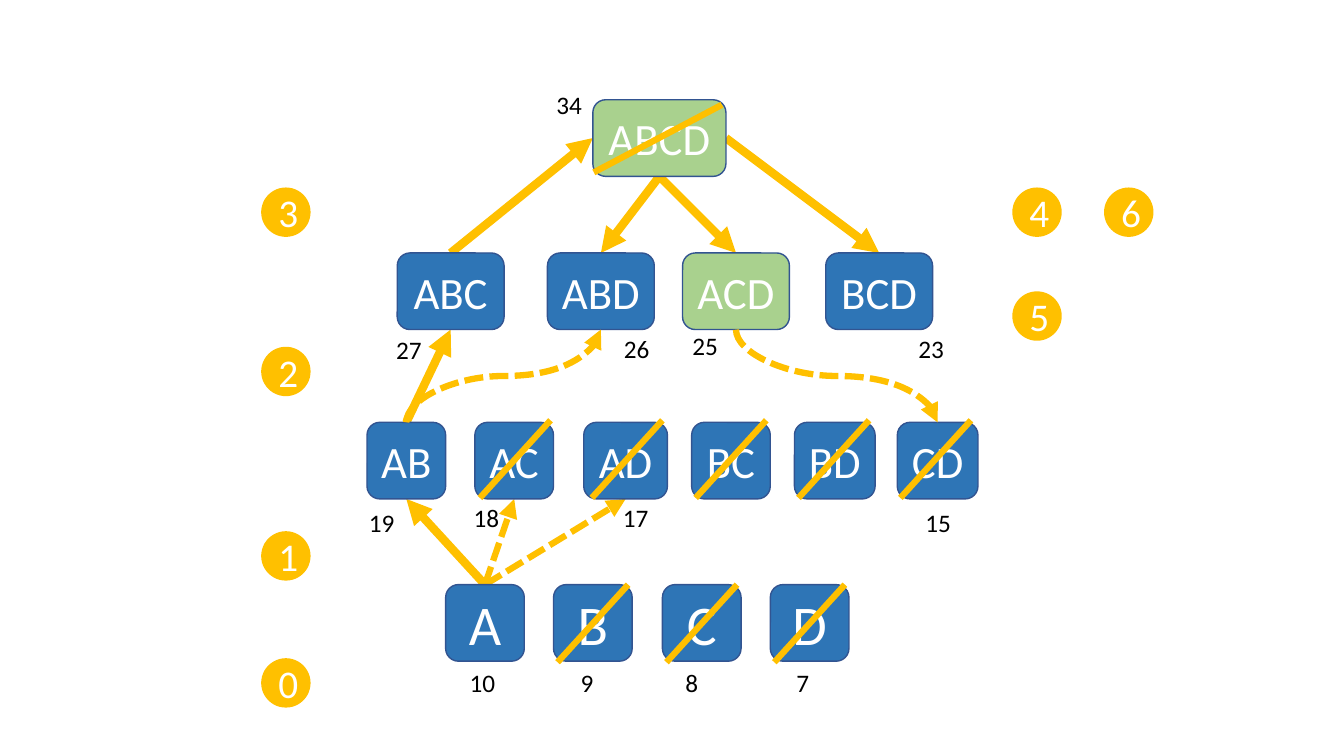
from dataclasses import dataclass

from lxml.etree import SubElement
from pptx import Presentation
from pptx.dml.color import RGBColor
from pptx.enum.dml import MSO_LINE
from pptx.enum.shapes import MSO_CONNECTOR, MSO_SHAPE
from pptx.enum.text import MSO_ANCHOR, PP_ALIGN
from pptx.oxml.ns import qn
from pptx.shapes.autoshape import Shape
from pptx.shapes.connector import Connector
from pptx.util import Inches, Pt

COLORS = {"blue": "2E75B6", "green": "A9D18E", "border": "325491",
          "amber": "FFC000", "white": "FFFFFF", "black": "000000"}
FONT = "Calibri"
TOP, LEFT, BOTTOM, RIGHT = range(4)  # connection sites of a box
BOX_HEIGHT = 0.76
BADGE_SIZE = 0.49
THIN, THICK = 4.5, 6
SLASH_WIDTH, SLASH_HEIGHT = 0.7, 0.77


@dataclass
class Node:
    """A feature subset in the lattice."""
    name: str
    left: float
    top: float
    width: float
    fill: str = "blue"
    size: int = 32


@dataclass
class Mark:
    """A score label or a step badge."""
    text: str
    left: float
    top: float


@dataclass
class Arrow:
    """A search move from one node to another."""
    source: str
    source_site: int
    target: str
    target_site: int
    dashed: bool = False
    curved: bool = False


NODES = [
    Node("ABCD", 5.88, 0.99, 1.32, "green"),
    Node("ABC", 3.94, 2.51, 1.06), Node("ABD", 5.43, 2.51, 1.06),
    Node("ACD", 6.77, 2.51, 1.06, "green"), Node("BCD", 8.19, 2.51, 1.06),
    Node("AB", 3.64, 4.19, 0.78), Node("AC", 4.71, 4.19, 0.78),
    Node("AD", 5.79, 4.19, 0.83), Node("BC", 6.86, 4.19, 0.78),
    Node("BD", 7.88, 4.19, 0.8), Node("CD", 8.9, 4.19, 0.8),
    *(Node(name, left, 5.8, 0.78, size=40)
      for name, left in zip("ABCD", (4.42, 5.49, 6.57, 7.64))),
]
SCORES = [
    Mark("34", 5.42, 0.84),
    Mark("27", 3.83, 3.27), Mark("26", 6.09, 3.26),
    Mark("25", 6.77, 3.23), Mark("23", 9.01, 3.26),
    Mark("19", 3.56, 4.98), Mark("18", 4.6, 4.93),
    Mark("17", 6.08, 4.93), Mark("15", 9.08, 4.98),
    Mark("10", 4.56, 6.57), Mark("9", 5.66, 6.57),
    Mark("8", 6.7, 6.57), Mark("7", 7.8, 6.57),
]
STEPS = [
    Mark("0", 2.59, 6.53), Mark("1", 2.59, 5.27), Mark("2", 2.59, 3.44),
    Mark("3", 2.59, 1.86), Mark("4", 10.04, 1.86), Mark("5", 10.04, 2.89),
    Mark("6", 10.95, 1.86),
]
ARROWS = [
    Arrow("A", TOP, "AB", BOTTOM),
    Arrow("A", TOP, "AC", BOTTOM, dashed=True),
    Arrow("A", TOP, "AD", BOTTOM, dashed=True),
    Arrow("AB", TOP, "ABC", BOTTOM),
    Arrow("ABC", TOP, "ABCD", LEFT),
    Arrow("ABCD", BOTTOM, "ABD", TOP),
    Arrow("ABCD", BOTTOM, "ACD", TOP),
    Arrow("ABCD", RIGHT, "BCD", TOP),
    Arrow("AB", TOP, "ABD", BOTTOM, dashed=True, curved=True),
    Arrow("ACD", BOTTOM, "CD", TOP, dashed=True, curved=True),
]
SLASH_ROWS = {4.17: [5.46, 6.57, 7.6, 8.62, 9.63], 5.8: [6.23, 7.31, 8.38]}


def rgb(name: str) -> RGBColor:
    """Look up a colour by name."""
    return RGBColor.from_string(COLORS[name])


def write(shape: Shape, text: str, size: int, color: str, align: PP_ALIGN) -> None:
    """Write one run of text into a shape."""
    paragraph = shape.text_frame.paragraphs[0]
    paragraph.alignment = align
    run = paragraph.add_run()
    run.text = text
    run.font.name, run.font.size = FONT, Pt(size)
    run.font.color.rgb = rgb(color)


def add_filled(preset: MSO_SHAPE, left: float, top: float, width: float,
               height: float, fill: str) -> Shape:
    """Add a flat filled shape with vertically centred text."""
    shape = slide.shapes.add_shape(
        preset, Inches(left), Inches(top), Inches(width), Inches(height))
    shape.shadow.inherit = False
    shape.fill.solid()
    shape.fill.fore_color.rgb = rgb(fill)
    shape.text_frame.vertical_anchor = MSO_ANCHOR.MIDDLE
    return shape


def add_node(node: Node) -> Shape:
    """Add the box of a feature subset."""
    box = add_filled(MSO_SHAPE.ROUNDED_RECTANGLE, node.left, node.top,
                     node.width, BOX_HEIGHT, node.fill)
    box.line.color.rgb, box.line.width = rgb("border"), Pt(1)
    box.text_frame.word_wrap = False
    write(box, node.name, node.size, "white", PP_ALIGN.CENTER)
    return box


def add_step(step: Mark) -> None:
    """Add a round step badge."""
    badge = add_filled(MSO_SHAPE.OVAL, step.left, step.top,
                       BADGE_SIZE, BADGE_SIZE, "amber")
    badge.line.fill.background()
    write(badge, step.text, 28, "white", PP_ALIGN.CENTER)


def add_score(score: Mark) -> None:
    """Add the score beside a node."""
    label = slide.shapes.add_textbox(
        Inches(score.left), Inches(score.top), Inches(0.46), Inches(0.4))
    label.text_frame.word_wrap = True
    write(label, score.text, 18, "black", PP_ALIGN.LEFT)


def add_line(x1: float, y1: float, x2: float, y2: float, width: float = THIN,
             kind: MSO_CONNECTOR = MSO_CONNECTOR.STRAIGHT) -> Connector:
    """Add an amber line without a shadow."""
    line = slide.shapes.add_connector(
        kind, Inches(x1), Inches(y1), Inches(x2), Inches(y2))
    line.line.color.rgb, line.line.width = rgb("amber"), Pt(width)
    SubElement(line._element.spPr, qn("a:effectLst"))
    return line


def turn_upright(curve: Connector) -> None:
    """Rotate a curve so that it leaves and arrives vertically."""
    x1, y1, x2, y2 = curve.begin_x, curve.begin_y, curve.end_x, curve.end_y
    center_x, center_y = (x1 + x2) // 2, (y1 + y2) // 2
    turn = 1 if y2 < y1 else -1
    half_x, half_y = turn * (y1 - center_y), turn * (center_x - x1)
    curve.begin_x, curve.begin_y = center_x + half_x, center_y + half_y
    curve.end_x, curve.end_y = center_x - half_x, center_y - half_y
    curve._element.spPr.find(qn("a:xfrm")).set("rot", str(turn % 4 * 90 * 60000))


def add_arrow(arrow: Arrow, boxes: dict[str, Shape]) -> None:
    """Connect two boxes; straight arrows lie behind the boxes."""
    kind = MSO_CONNECTOR.CURVE if arrow.curved else MSO_CONNECTOR.STRAIGHT
    line = add_line(0, 0, 1, 1, THIN if arrow.dashed else THICK, kind)
    line.begin_connect(boxes[arrow.source], arrow.source_site)
    line.end_connect(boxes[arrow.target], arrow.target_site)
    if arrow.dashed:
        line.line.dash_style = MSO_LINE.SQUARE_DOT
    SubElement(line.line._get_or_add_ln(), qn("a:tailEnd"), type="triangle")
    if arrow.curved:
        turn_upright(line)
    else:
        slide.shapes._spTree.insert(2, line._element)


presentation = Presentation()
presentation.slide_width, presentation.slide_height = Inches(13.33), Inches(7.5)
slide = presentation.slides.add_slide(presentation.slide_layouts[6])

node_boxes = {node.name: add_node(node) for node in NODES}
for move in ARROWS:
    add_arrow(move, node_boxes)
for step_mark in STEPS:
    add_step(step_mark)
for score_mark in SCORES:
    add_score(score_mark)
for slash_top, rights in SLASH_ROWS.items():
    for right in rights:
        add_line(right, slash_top, right - SLASH_WIDTH, slash_top + SLASH_HEIGHT)
add_line(7.16, 1.04, 5.89, 1.71)

presentation.save("out.pptx")
